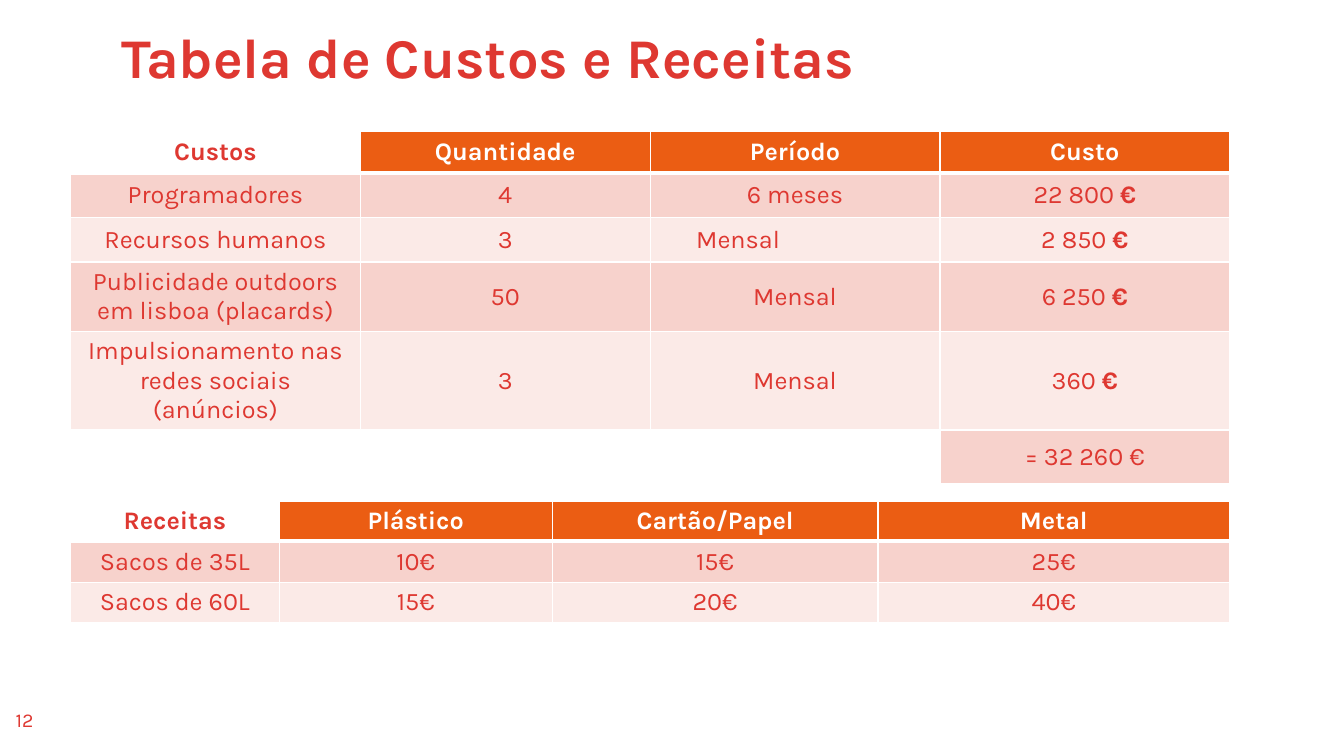
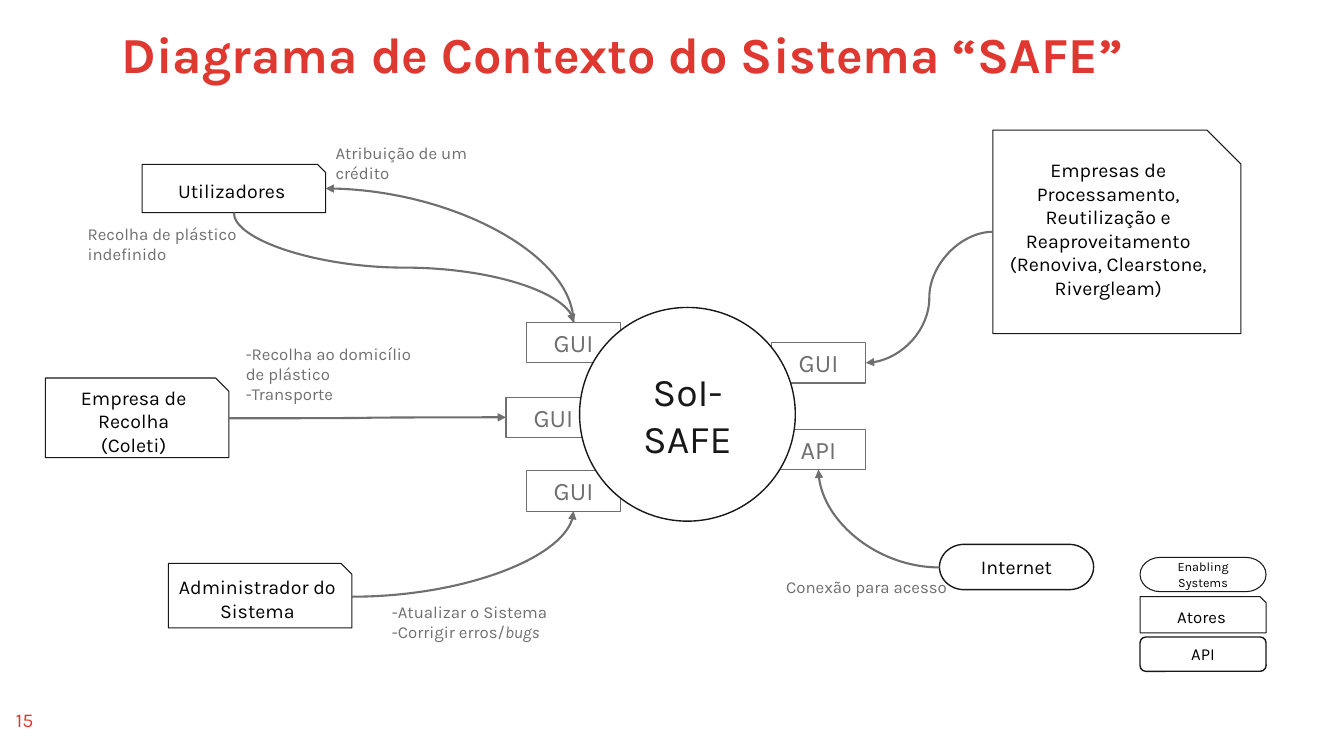
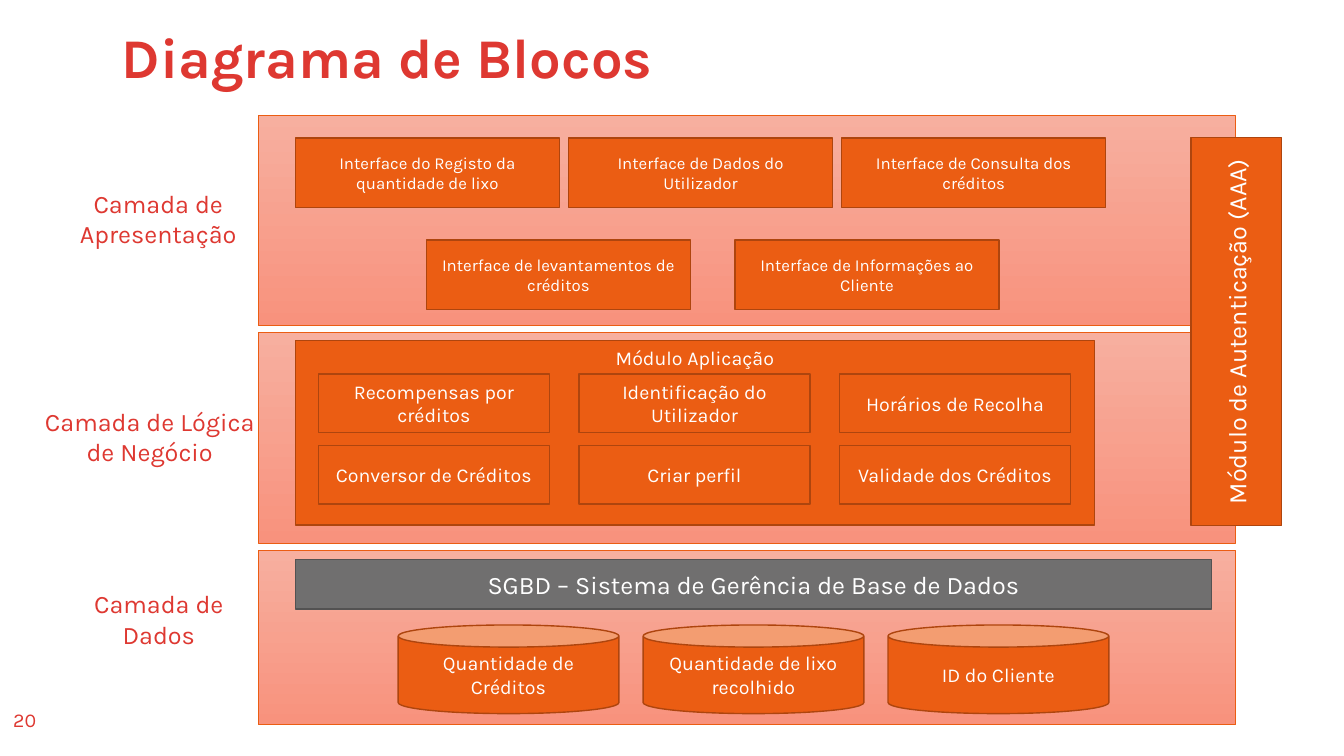
import pptx
import pptx.dml.color
import pptx.enum.shapes
import pptx.enum.text
import pptx.oxml
import pptx.oxml.ns
import pptx.util

RGBColor = pptx.dml.color.RGBColor
RED = RGBColor(0xDE, 0x38, 0x31)
ORANGE = RGBColor(0xEB, 0x5D, 0x13)
DARK_ORANGE = RGBColor(0xAE, 0x45, 0x0E)
ROSE = RGBColor(0xF7, 0xD2, 0xCC)
PALE_ROSE = RGBColor(0xFB, 0xEA, 0xE7)
LAYER_TOP = RGBColor(0xF7, 0xAF, 0x9F)
LAYER_BOTTOM = RGBColor(0xF8, 0x92, 0x7D)
GRAY = RGBColor(0x70, 0x6F, 0x6F)
DARK_GRAY = RGBColor(0x53, 0x52, 0x52)
INK = RGBColor(0x18, 0x18, 0x18)
BLACK = RGBColor(0x00, 0x00, 0x00)
WHITE = RGBColor(0xFF, 0xFF, 0xFF)

FONT = "Karla"
GRID = pptx.util.Inches(0.1)  # side of one grid cell; lengths below are in cells
SLIDE_COLUMNS, SLIDE_ROWS = 133.33, 75

SHAPE = pptx.enum.shapes.MSO_SHAPE
CURVE = pptx.enum.shapes.MSO_CONNECTOR.CURVE
ALIGN = pptx.enum.text.PP_ALIGN
MIDDLE = pptx.enum.text.MSO_ANCHOR.MIDDLE
DRAWING = pptx.oxml.ns.nsdecls("a")


def write_text(frame, text, size, color, bold=False, align=ALIGN.CENTER, accent="bold"):
    """Fill a frame, one paragraph per line; what follows a "|" gets the accent."""
    frame.text = text.replace("|", "")
    for paragraph, line in zip(frame.paragraphs, text.split("\n")):
        paragraph.alignment = align
        plain, *accented = line.split("|")
        paragraph.text = plain
        for part in accented:
            paragraph.add_run().text = part
        for position, run in enumerate(paragraph.runs):
            run.font.name = FONT
            run.font.size = pptx.util.Pt(size)
            run.font.color.rgb = color
            run.font.bold = bold
            if position:
                setattr(run.font, accent, True)


def add_box(slide, kind, cells, text="", size=14, color=WHITE,
            fill=ORANGE, line=DARK_ORANGE, line_width=1):
    """Add a preset shape at (left, top, width, height) in grid cells."""
    shape = slide.shapes.add_shape(kind, *[int(cell * GRID) for cell in cells])
    shape.shadow.inherit = False
    if fill is None:
        shape.fill.background()
    else:
        shape.fill.solid()
        shape.fill.fore_color.rgb = fill
    shape.line.color.rgb = line
    shape.line.width = pptx.util.Pt(line_width)
    if text:
        shape.text_frame.vertical_anchor = MIDDLE
        write_text(shape.text_frame, text, size, color)
    return shape


presentation = pptx.Presentation()
presentation.slide_width = int(SLIDE_COLUMNS * GRID)
presentation.slide_height = SLIDE_ROWS * GRID
blank_layout = presentation.slide_layouts[6]
cost_slide, context_slide, block_slide = [
    presentation.slides.add_slide(blank_layout) for _ in range(3)]

# Tables of costs and revenues
cost_rows = [
    ["Custos", "Quantidade", "Período", "Custo"],
    ["Programadores", "4", "6 meses", "22 800 |€"],
    ["Recursos humanos", "3", "Mensal", "2 850 |€"],
    ["Publicidade outdoors em lisboa (placards)", "50", "Mensal", "6 250 |€"],
    ["Impulsionamento nas redes sociais (anúncios)", "3", "Mensal", "360 |€"],
    ["", "", "", "= 32 260 €"],
]
revenue_rows = [
    ["Receitas", "Plástico", "Cartão/Papel", "Metal"],
    ["Sacos de 35L", "10€", "15€", "25€"],
    ["Sacos de 60L", "15€", "20€", "40€"],
]
tables = []
for top, rows, widths, heights in [
    (13, cost_rows, [28.75] * 4, [4.2, 4.4, 4.4, 6.8, 9.8, 5.3]),
    (49.7, revenue_rows, [20.7, 27.1, 32.3, 34.9], [4, 4.05, 4.05]),
]:
    table = cost_slide.shapes.add_table(
        len(rows), len(widths), 7 * GRID, int(top * GRID),
        int(sum(widths) * GRID), int(sum(heights) * GRID)).table
    table.first_row = table.horz_banding = False
    tables.append(table)
    for column, width in zip(table.columns, widths):
        column.width = int(width * GRID)
    for row_index, (row, height) in enumerate(zip(rows, heights)):
        table.rows[row_index].height = int(height * GRID)
        is_header = row_index == 0
        borders = {"lnL": 1, "lnR": 1, "lnB": 3 if is_header else 1}
        for column_index, text in enumerate(row):
            cell = table.cell(row_index, column_index)
            cell.vertical_anchor = MIDDLE
            for side, width in borders.items():
                cell._tc.get_or_add_tcPr().append(pptx.oxml.parse_xml(
                    f'<a:{side} {DRAWING} w="{pptx.util.Pt(width)}"><a:solidFill>'
                    f'<a:srgbClr val="{WHITE}"/></a:solidFill></a:{side}>'))
            is_corner = is_header and column_index == 0
            if is_corner or not text:
                cell.fill.background()
            else:
                cell.fill.solid()
                cell.fill.fore_color.rgb = (
                    ORANGE if is_header else ROSE if row_index % 2 else PALE_ROSE)
            if text:
                color = WHITE if is_header and not is_corner else RED
                write_text(cell.text_frame, text, 18, color, bold=is_header)
staff_period = tables[0].cell(2, 2)
staff_period.margin_right = int(12.3 * GRID)

# Context diagram: actors, connections, interfaces and the system
actors = [
    ((14.1, 16.3, 18.2, 4.8), "Utilizadores"),
    ((4.5, 37.5, 18.2, 7.9), "Empresa de Recolha\n(Coleti)"),
    ((16.7, 55.9, 18.2, 6.4), "Administrador do Sistema"),
    ((98.5, 12.9, 24.6, 20.2), "Empresas de\nProcessamento, Reutilização e "
     "Reaproveitamento\n(Renoviva, Clearstone, Rivergleam)"),
]
for cells, text in actors:
    actor = add_box(context_slide, SHAPE.SNIP_1_RECTANGLE, cells, text, 14, BLACK,
                    None, INK, 0.75)
actor.text_frame.margin_bottom = int(2.8 * GRID)
add_box(context_slide, SHAPE.FLOWCHART_TERMINATOR, (93.2, 54, 15.3, 4.5), "Internet",
        14, BLACK, None, INK)

legend = [
    (SHAPE.FLOWCHART_TERMINATOR, 55.3, 3.4, "Enabling Systems", 9, 0.75),
    (SHAPE.SNIP_1_RECTANGLE, 59.2, 3.6, "Atores", 12, 0.75),
    (SHAPE.ROUNDED_RECTANGLE, 63.2, 3.4, "API", 12, 1),
]
for kind, top, height, text, size, line_width in legend:
    add_box(context_slide, kind, (113.1, top, 12.5, height), text, size, BLACK,
            None, INK, line_width)

# Begin, end, preset, arrow end and rotation in degrees
connections = [
    ((32.3, 18.7), (56.9, 32), "curvedConnector2", "headEnd", 0),
    ((45.5, 9.7), (34.6, 43.4), "curvedConnector3", "tailEnd", 270),
    ((22.7, 41.5), (50.2, 41.4), "curvedConnector3", "tailEnd", 0),
    ((34.9, 59.2), (56.9, 50.7), "curvedConnector2", "tailEnd", 0),
    ((93.2, 56.3), (81.2, 46.6), "curvedConnector2", "tailEnd", 0),
    ((98.5, 23), (85.9, 36), "curvedConnector3", "tailEnd", 0),
]
for begin, end, preset, arrow_end, rotation in connections:
    connector = context_slide.shapes.add_connector(
        CURVE, *[int(cell * GRID) for cell in begin + end])
    connector.line.color.rgb = GRAY
    connector.line.width = pptx.util.Pt(1.5)
    properties = connector._element.spPr
    properties.find(pptx.oxml.ns.qn("a:prstGeom")).set("prst", preset)
    properties.find(pptx.oxml.ns.qn("a:xfrm")).set("rot", str(rotation * 60000))
    properties.find(pptx.oxml.ns.qn("a:ln")).append(
        pptx.oxml.parse_xml(f'<a:{arrow_end} {DRAWING} type="triangle"/>'))
    properties.append(pptx.oxml.parse_xml(f"<a:effectLst {DRAWING}/>"))

for left, top, text in [(52.2, 32, "GUI"), (50.2, 39.4, "GUI"), (52.2, 46.7, "GUI"),
                        (76.5, 34, "GUI"), (76.5, 42.6, "API")]:
    add_box(context_slide, SHAPE.FLOWCHART_PROCESS, (left, top, 9.4, 4), text, 18, GRAY,
            None, GRAY, 0.75)
add_box(context_slide, SHAPE.OVAL, (57.5, 30.5, 21.4, 21.2), "SoI-SAFE", 28, INK, WHITE, INK)

# Block diagram: three layers and their modules
for index, height in enumerate([20.9, 20.9, 17.3]):
    layer = add_box(block_slide, SHAPE.RECTANGLE, (25.6, 11.4 + 21.6 * index, 97, height),
                    line=ORANGE, line_width=0.5)
    layer.fill.gradient()
    layer.fill.gradient_angle = 270
    for stop, color in zip(layer.fill.gradient_stops, [LAYER_TOP, LAYER_BOTTOM]):
        stop.color.rgb = color

screen_rows = [
    (29.3, 13.7, 27.1, ["Interface do Registo da quantidade de lixo",
                        "Interface de Dados do Utilizador",
                        "Interface de Consulta dos créditos"]),
    (42.3, 23.8, 30.6, ["Interface de levantamentos de créditos",
                        "Interface de Informações ao Cliente"]),
]
for left, top, step, screens in screen_rows:
    for index, text in enumerate(screens):
        add_box(block_slide, SHAPE.RECTANGLE, (left + step * index, top, 26.2, 6.9), text, 12)

application = add_box(block_slide, SHAPE.RECTANGLE, (29.3, 33.8, 79.3, 18.3),
                      "Módulo Aplicação")
application.text_frame.vertical_anchor = pptx.enum.text.MSO_ANCHOR.TOP
modules = ["Recompensas por créditos", "Identificação do Utilizador", "Horários de Recolha",
           "Conversor de Créditos", "Criar perfil", "Validade dos Créditos"]
for index, text in enumerate(modules):
    row, column = divmod(index, 3)
    add_box(block_slide, SHAPE.RECTANGLE,
            (31.6 + 25.85 * column, 37.1 + 7.1 * row, 22.9, 5.8), text)

add_box(block_slide, SHAPE.RECTANGLE, (29.3, 55.5, 90.9, 4.9),
        "SGBD – Sistema de Gerência de Base de Dados", 18, WHITE, GRAY, DARK_GRAY)
for index, text in enumerate(["Quantidade de Créditos", "Quantidade de lixo recolhido",
                              "ID do Cliente"]):
    add_box(block_slide, SHAPE.CAN, (39.5 + 24.3 * index, 62, 21.9, 8.8), text)
authentication = add_box(block_slide, SHAPE.RECTANGLE, (103.4, 28.4, 38.5, 9),
                         "Módulo de Autenticação (AAA)", 18)
authentication.rotation = 270

# Titles, page numbers and labels
labels = [
    (context_slide, (7.7, 21.7, 18.1, 5), "Recolha de plástico indefinido", 12, GRAY, ALIGN.LEFT),
    (context_slide, (32.3, 13.7, 18.1, 5), "Atribuição de um crédito", 12, GRAY, ALIGN.LEFT),
    (context_slide, (23.4, 33.6, 20.9, 7.1),
     "-Recolha ao domicílio\nde plástico\n-Transporte", 12, GRAY, ALIGN.LEFT),
    (context_slide, (37.9, 59.2, 18.1, 5),
     "-Atualizar o Sistema\n-Corrigir erros/|bugs", 12, GRAY, ALIGN.LEFT),
    (context_slide, (77, 56.7, 18.1, 3), "Conexão para acesso", 12, GRAY, ALIGN.LEFT),
    (block_slide, (4.7, 18.2, 22, 7.1), "Camada de Apresentação", 18, RED, ALIGN.CENTER),
    (block_slide, (2.9, 39.8, 23.9, 7.1), "Camada de Lógica de Negócio", 18, RED, ALIGN.CENTER),
    (block_slide, (5.4, 57.9, 20.7, 7.1), "Camada de Dados", 18, RED, ALIGN.CENTER),
]
for slide, title, title_size, number in [
    (cost_slide, "Tabela de Custos e Receitas", 40, "12"),
    (context_slide, "Diagrama de Contexto do Sistema “SAFE”", 36, "15"),
    (block_slide, "Diagrama de Blocos", 40, "20"),
]:
    labels.append((slide, (11.1, 2.5, 104.1, 6.1), title, title_size, RED, ALIGN.LEFT))
    labels.append((slide, (0.1, 69.7, 4.7, 4), number, 14, RED, ALIGN.CENTER))
for slide, cells, text, size, color, align in labels:
    frame = slide.shapes.add_textbox(*[int(cell * GRID) for cell in cells]).text_frame
    frame.word_wrap = True
    is_title = size >= 36
    write_text(frame, text, size, color, is_title, align, accent="italic")
    if is_title:
        frame.paragraphs[0].line_spacing = 0.9

presentation.save("out.pptx")
